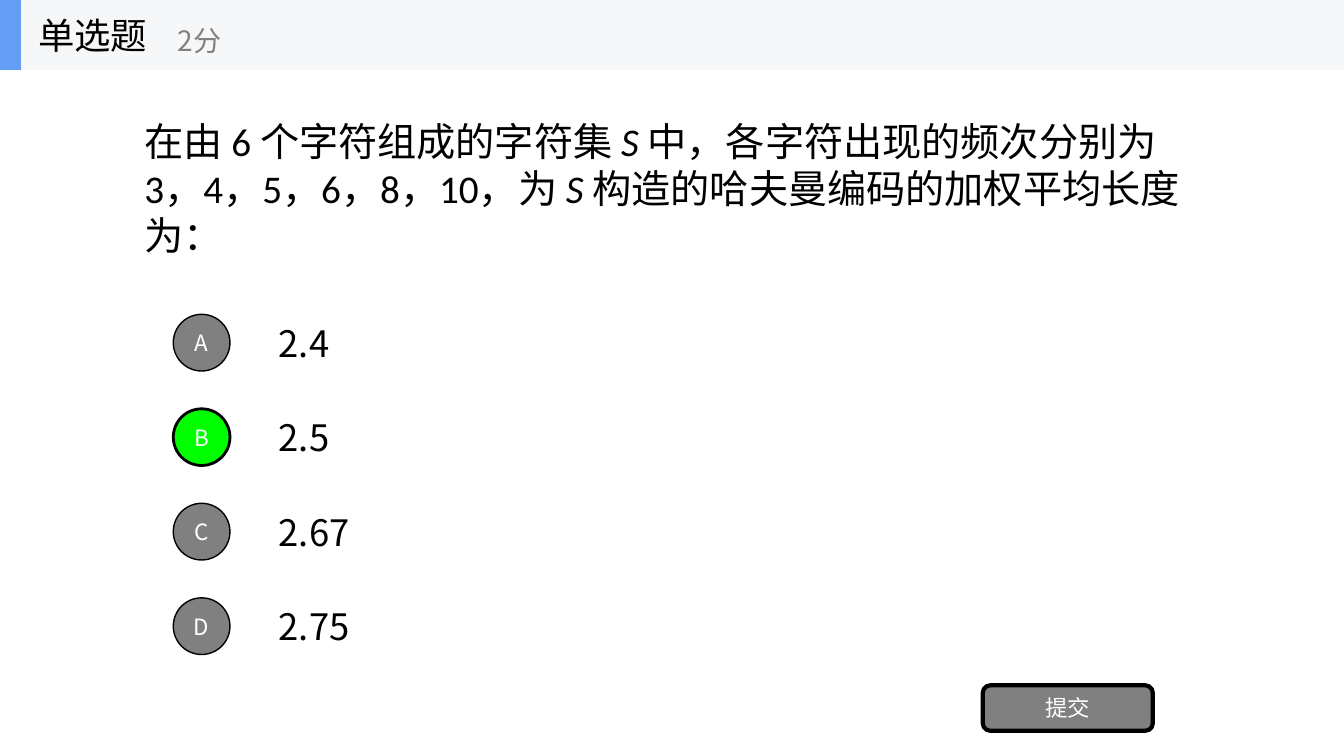
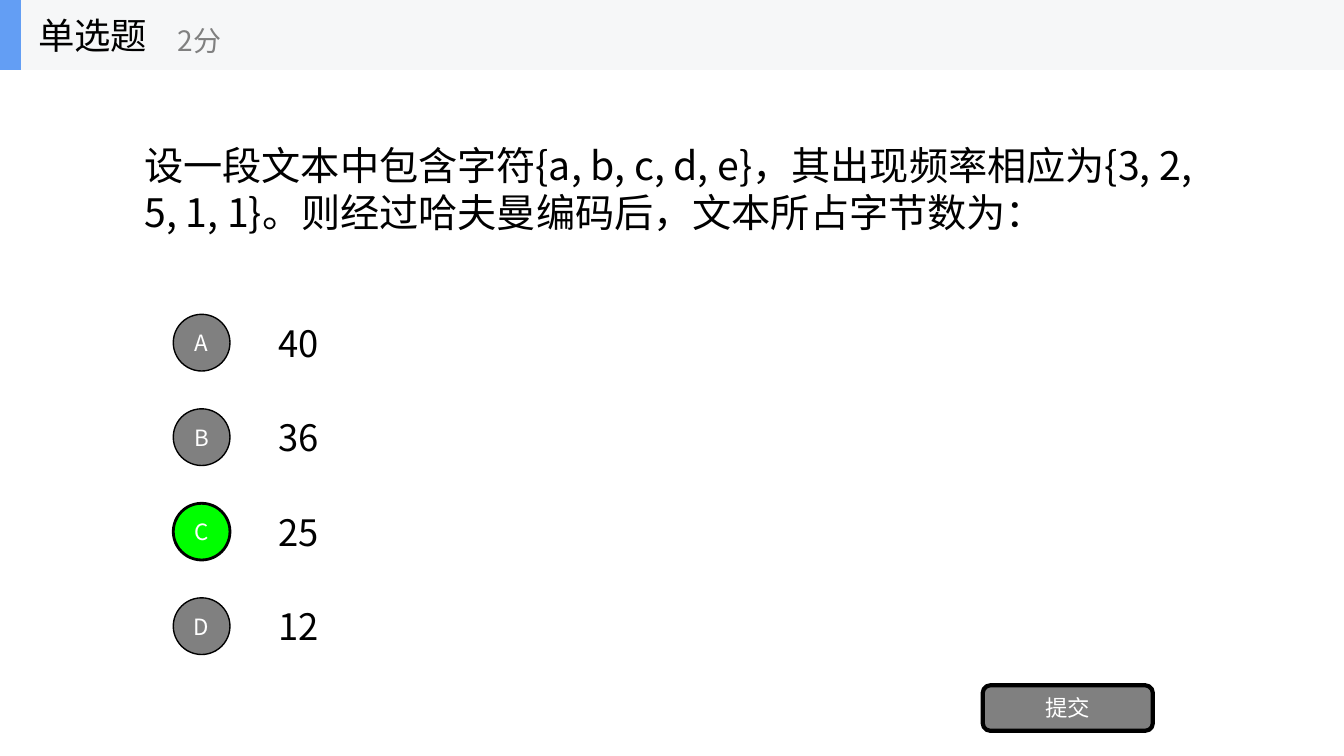
from dataclasses import dataclass

from lxml import etree
from pptx import Presentation
from pptx.dml.color import RGBColor
from pptx.enum.shapes import MSO_SHAPE
from pptx.enum.text import MSO_ANCHOR, MSO_AUTO_SIZE, PP_ALIGN
from pptx.oxml.ns import qn
from pptx.util import Pt

RECT, OVAL, ROUNDED = MSO_SHAPE.RECTANGLE, MSO_SHAPE.OVAL, MSO_SHAPE.ROUNDED_RECTANGLE
MIDDLE, LEFT, CENTER = MSO_ANCHOR.MIDDLE, PP_ALIGN.LEFT, PP_ALIGN.CENTER
NO_FIT = MSO_AUTO_SIZE.NONE
TITLE_ONLY = 5


@dataclass(frozen=True)
class Theme:
    font: str = "Noto Sans CJK SC"
    latin: str = "Calibri"
    ink: str = "000000"
    white: str = "FFFFFF"
    gray: str = "808080"
    correct: str = "00FF00"
    band: str = "F6F7F8"
    accent: str = "639EF4"
    question: float = 28
    title: float = 26
    option: float = 26
    score: float = 20
    button: float = 16


@dataclass(frozen=True)
class Box:
    x: float
    y: float
    w: float
    h: float

    def lengths(self) -> tuple:
        return Pt(self.x), Pt(self.y), Pt(self.w), Pt(self.h)


@dataclass(frozen=True)
class Run:
    text: str
    italic: bool = False


@dataclass(frozen=True)
class Quiz:
    question: tuple[Run, ...]
    options: tuple[str, ...]
    answer: str
    latin: str


T = Theme()
WIDTH, HEIGHT = 960, 540

# Layout shared by every question
BAND = Box(0, 0, WIDTH, 50)
ACCENT = Box(0, 0, 15, 50)
TITLE = Box(20, 0, 150, 50)
SCORE = Box(120, 9, 180, 40)
QUESTION = Box(96, 50, 768, 168.5)
SUBMIT = Box(702, 489.5, 121.5, 32.5)
OPTION_TOP, OPTION_PITCH, OPTION_H = 219.5, 67.5, 50.5
CIRCLE = 40.5

QUIZZES = (
    Quiz((Run("在由 6 个字符组成的字符集 "), Run("S", True),
          Run(" 中，各字符出现的频次分别为 3，4，5，6，8，10，为 "), Run("S", True),
          Run(" 构造的哈夫曼编码的加权平均长度为：")),
         ("2.4", "2.5", "2.67", "2.75"), "B", T.latin),
    Quiz((Run("设一段文本中包含字符{a, b, c, d, e}，其出现频率相应为{3, 2, 5, 1, 1}。"
              "则经过哈夫曼编码后，文本所占字节数为："),),
         ("40", "36", "25", "12"), "C", T.font),
)


def write(sp, *runs: Run, size: float, color: str = T.ink, font: str = T.font,
          align=LEFT, spacing: float | None = None) -> None:
    """Fill a shape with one vertically centred paragraph."""
    tf = sp.text_frame
    tf.word_wrap, tf.auto_size, tf.vertical_anchor = True, NO_FIT, MIDDLE
    p = tf.paragraphs[0]
    p.alignment = align
    if spacing:
        p.line_spacing = Pt(spacing)
    for run in runs:
        r = p.add_run()
        r.text = run.text
        r.font.size, r.font.name, r.font.italic = Pt(size), font, run.italic
        r.font.color.rgb = RGBColor.from_string(color)
        ea = etree.SubElement(r.font._element, qn("a:ea"))
        ea.set("typeface", T.font)


def add_text(slide, box: Box, *runs: Run, **fmt) -> None:
    write(slide.shapes.add_textbox(*box.lengths()), *runs, **fmt)


def add_shape(slide, kind, box: Box, fill: str, line: float = 0):
    sp = slide.shapes.add_shape(kind, *box.lengths())
    sp.shadow.inherit = False
    sp.fill.solid()
    sp.fill.fore_color.rgb = RGBColor.from_string(fill)
    if line:
        sp.line.color.rgb = RGBColor.from_string(T.ink)
        sp.line.width = Pt(line)
    else:
        sp.line.fill.background()
    return sp


def add_button(slide, kind, box: Box, label: str, fill: str, line: float) -> None:
    sp = add_shape(slide, kind, box, fill, line)
    sp.text_frame.margin_left = sp.text_frame.margin_right = 0
    write(sp, Run(label), size=T.button, color=T.white, align=CENTER)


def add_header(slide) -> None:
    add_shape(slide, RECT, BAND, T.band)
    add_shape(slide, RECT, ACCENT, T.accent)
    title = slide.shapes.title
    title.left, title.top, title.width, title.height = TITLE.lengths()
    write(title, Run("单选题"), size=T.title)
    slide.shapes.element.append(title.element)  # bring in front of the band
    add_text(slide, SCORE, Run("2分"), size=T.score, color=T.gray)


def add_option(slide, index: int, text: str, answer: str) -> None:
    letter = "ABCD"[index]
    top = OPTION_TOP + index * OPTION_PITCH
    fill, line = (T.correct, 2) if letter == answer else (T.gray, 1)
    circle = Box(123.75, top + (OPTION_H - CIRCLE) / 2, CIRCLE, CIRCLE)
    add_button(slide, OVAL, circle, letter, fill, line)
    add_text(slide, Box(192, top, 672, OPTION_H), Run(text), size=T.option)


def add_quiz(prs, quiz: Quiz) -> None:
    slide = prs.slides.add_slide(prs.slide_layouts[TITLE_ONLY])
    add_header(slide)
    add_text(slide, QUESTION, *quiz.question, size=T.question, font=quiz.latin, spacing=33.6)
    for index, text in enumerate(quiz.options):
        add_option(slide, index, text, quiz.answer)
    add_button(slide, ROUNDED, SUBMIT, "提交", T.gray, 3)


def main() -> None:
    prs = Presentation()
    prs.slide_width, prs.slide_height = Pt(WIDTH), Pt(HEIGHT)
    for quiz in QUIZZES:
        add_quiz(prs, quiz)
    prs.save("out.pptx")


if __name__ == "__main__":
    main()
